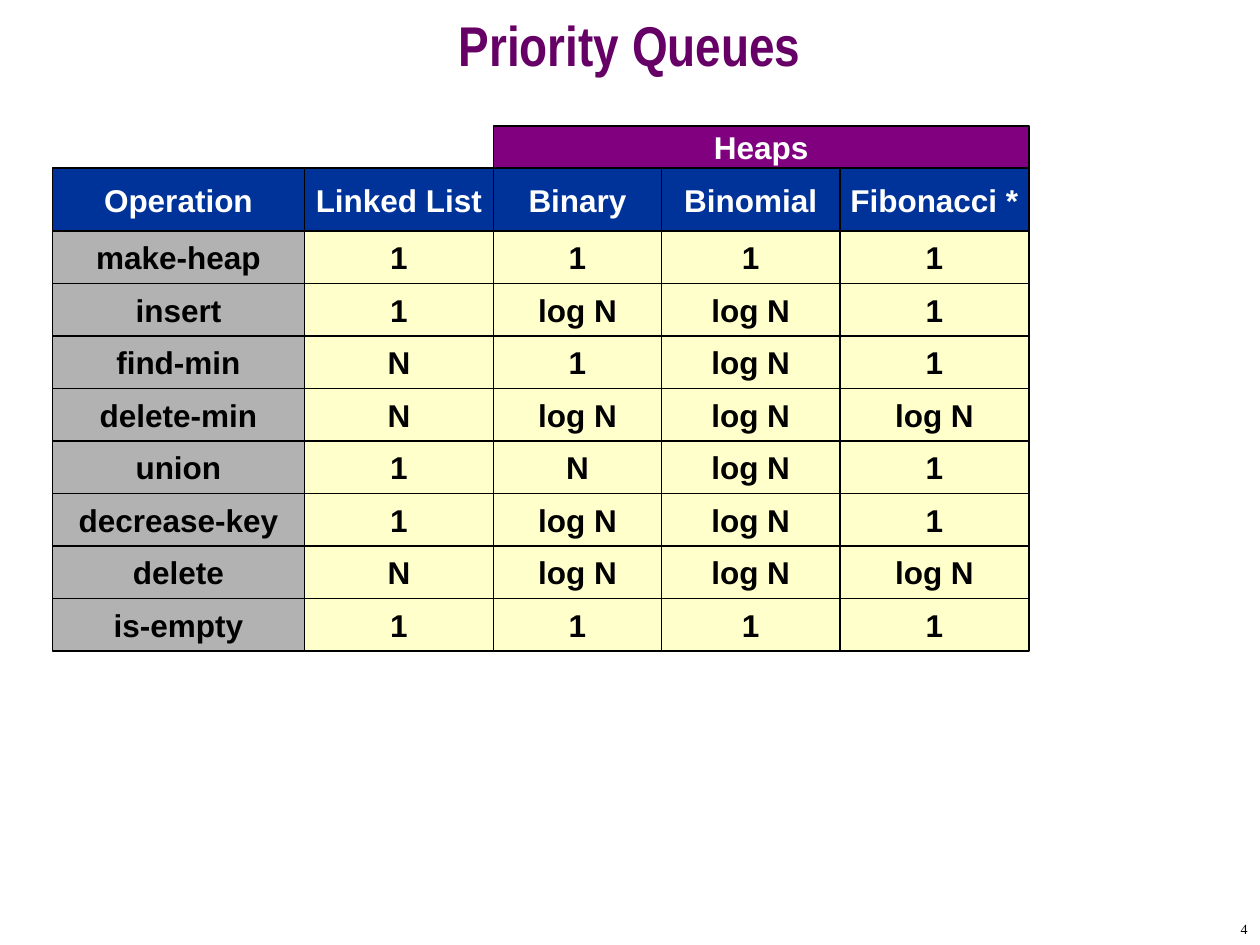
from dataclasses import dataclass
from itertools import accumulate

from pptx import Presentation
from pptx.dml.color import RGBColor
from pptx.enum.shapes import MSO_SHAPE
from pptx.enum.text import MSO_ANCHOR, MSO_AUTO_SIZE, PP_ALIGN
from pptx.util import Pt

RECT = MSO_SHAPE.RECTANGLE
CENTER, RIGHT = PP_ALIGN.CENTER, PP_ALIGN.RIGHT
MIDDLE = MSO_ANCHOR.MIDDLE
FIXED = MSO_AUTO_SIZE.NONE


@dataclass(frozen=True)
class Theme:
    title: str = "660066"
    group: str = "800080"
    head: str = "003399"
    label: str = "B2B2B2"
    body: str = "FFFFCC"
    ink: str = "000000"
    light: str = "FFFFFF"
    rule: float = 0.75
    big: int = 32
    text: int = 18
    small: int = 8


THEME = Theme()
WIDE, HIGH = 720, 540
COLS = (144, 108, 96, 102, 108)
GROUP = "Heaps"
FIRST = 2
BAND, HEAD, STEP = 24, 36, 30
LINES = (
    ("Operation", "Linked List", "Binary", "Binomial", "Fibonacci *"),
    ("make-heap", "1", "1", "1", "1"),
    ("insert", "1", "log N", "log N", "1"),
    ("find-min", "N", "1", "log N", "1"),
    ("delete-min", "N", "log N", "log N", "log N"),
    ("union", "1", "N", "log N", "1"),
    ("decrease-key", "1", "log N", "log N", "1"),
    ("delete", "N", "log N", "log N", "log N"),
    ("is-empty", "1", "1", "1", "1"),
)


def assign(item, values):
    for name, value in values.items():
        setattr(item, name, value)


def write(frame, text, face, size, color, align, bold=True):
    line = frame.paragraphs[0]
    line.alignment = align
    run = line.add_run()
    run.text = text
    assign(run.font, {"name": face, "size": Pt(size), "bold": bold})
    run.font.color.rgb = RGBColor.from_string(color)
    return line


def place(shape, box, wrap=True):
    names = ("left", "top", "width", "height")
    assign(shape, {name: Pt(value) for name, value in zip(names, box)})
    assign(shape.text_frame, {
        "vertical_anchor": MIDDLE, "word_wrap": wrap, "auto_size": FIXED,
    })


def add_title(slide, box):
    title = slide.shapes.title
    place(title, box)
    line = write(title.text_frame, "Priority Queues", "Arial Narrow",
                 THEME.big, THEME.title, CENTER)
    line.line_spacing = 0.7


def add_cell(slide, box, text, back, ink):
    cell = slide.shapes.add_shape(RECT, 0, 0, 0, 0)
    place(cell, box, wrap=False)
    cell.shadow.inherit = False
    cell.fill.solid()
    cell.fill.fore_color.rgb = RGBColor.from_string(back)
    cell.line.color.rgb = RGBColor.from_string(THEME.ink)
    cell.line.width = Pt(THEME.rule)
    write(cell.text_frame, text, "Arial", THEME.text, ink, CENTER)


def shade(row, col):
    if row == 0:
        return THEME.head, THEME.light
    return (THEME.body if col else THEME.label), THEME.ink


def add_grid(slide, left, top):
    lefts = list(accumulate(COLS, initial=left))
    highs = (HEAD,) + (STEP,) * (len(LINES) - 1)
    tops = accumulate(highs, initial=top + BAND)
    for row, (texts, y, high) in enumerate(zip(LINES, tops, highs)):
        for col, (text, x, wide) in enumerate(zip(texts, lefts, COLS)):
            add_cell(slide, (x, y, wide, high), text, *shade(row, col))
    add_cell(slide, (lefts[FIRST], top, sum(COLS[FIRST:]), BAND), GROUP,
             THEME.group, THEME.light)


def add_number(slide, box):
    note = slide.shapes.add_textbox(0, 0, 0, 0)
    place(note, box)
    write(note.text_frame, "4", "Times New Roman", THEME.small, THEME.ink,
          RIGHT, False)


def main():
    deck = Presentation()
    assign(deck, {"slide_width": Pt(WIDE), "slide_height": Pt(HIGH)})
    slide = deck.slides.add_slide(deck.slide_layouts[5])
    add_title(slide, (0, 0, WIDE, 60))
    add_grid(slide, 30, 72)
    add_number(slide, (WIDE - 150, HIGH - 18, 150, 18))
    deck.save("out.pptx")


if __name__ == "__main__":
    main()
